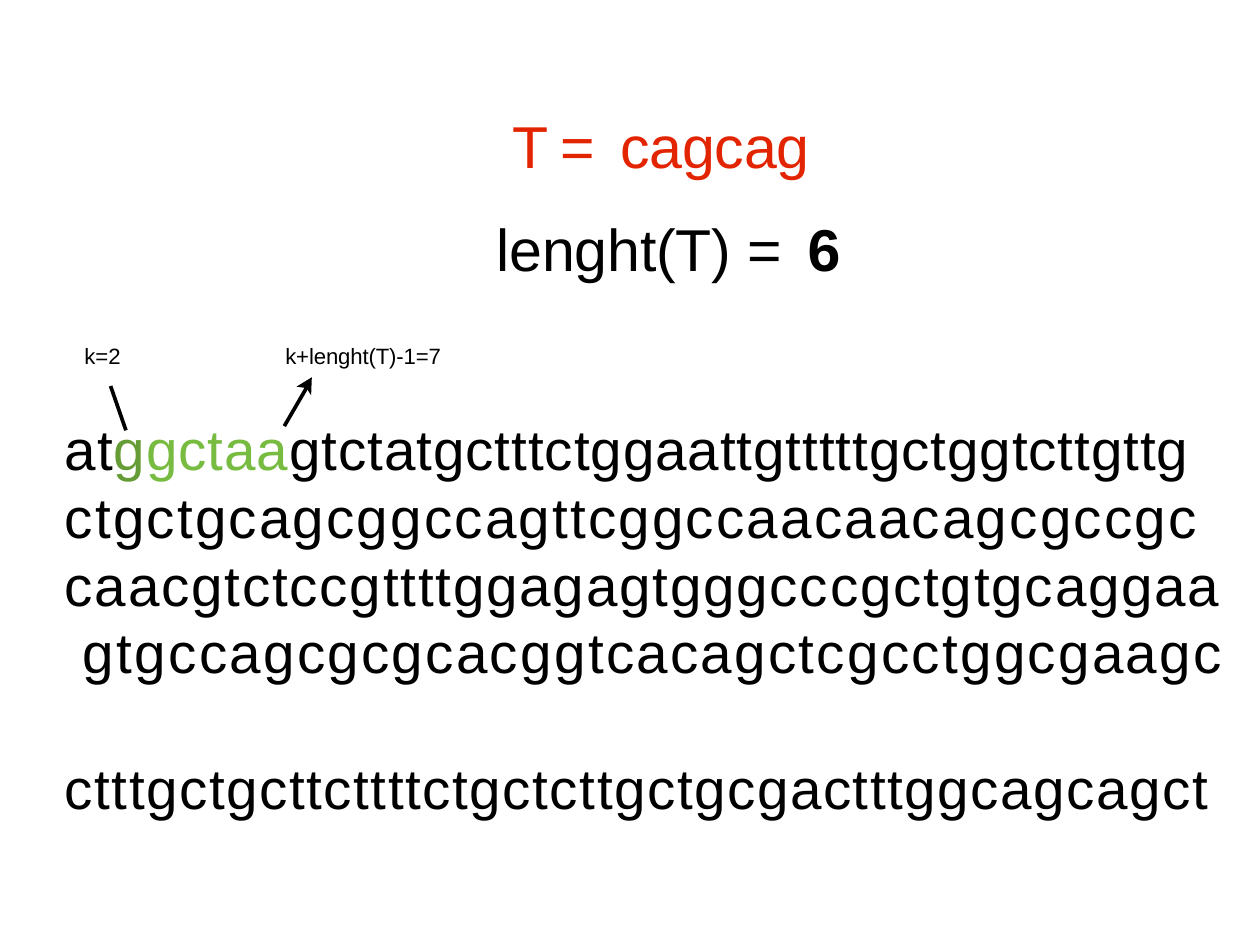
from dataclasses import dataclass

import pptx
import pptx.dml.color
import pptx.enum.text
import pptx.oxml
import pptx.oxml.ns
import pptx.util
from pptx.util import Cm

BLACK = "000000"
RED = "E32400"
DARK_GREEN = "669C35"
GREEN = "77BB41"
LINE_PITCH = 55


@dataclass
class Span:
    text: str
    spacing: float = 0
    color: str = BLACK
    bold: bool = False


@dataclass
class Line:
    spans: list[Span]
    indent: float = 0
    space_before: float = 0


@dataclass
class Label:
    left: float
    top: float
    width: float
    height: float
    size: float
    spans: list[Span]


@dataclass
class Stroke:
    start: tuple[float, float]
    end: tuple[float, float]
    arrow: bool = False


TITLE = Label(14.68, 3.15, 8.9, 2.11, 48, [
    Span("T ", -2.6, RED), Span("= ", 3.6, RED), Span("cagcag", -0.1, RED)])

LABELS = [
    Label(14.23, 6.1, 9.86, 2.11, 48, [
        Span("lenght(T) ", -0.1), Span("= ", 3.6), Span("6", bold=True)]),
    Label(2.42, 9.83, 1.12, 0.84, 18, [Span("k=2")]),
    Label(8.18, 9.83, 4.6, 0.84, 18, [Span("k+lenght(T)-1=7", -0.1)]),
]

SEQUENCE = [
    Line([Span("at", 0.8), Span("g", 0.8, DARK_GREEN), Span("gctaa", 0.8, GREEN),
          Span("gtctatgctttctggaattgtttttgctggtcttgttg", 0.8)]),
    Line([Span("ctgctgcagcggccagttcggccaacaacagcgccgc", 1.8)]),
    Line([Span("caacgtctccgttttggagagtgggcccgctgtgcaggaa", 1.5)]),
    Line([Span("gtgccagcgcgcacggtcacagctcgcctggcgaagc", 1.9)], indent=0.52),
    Line([Span("ctttgctgcttcttttctgctcttgctgcgactttggcagcagct", 1.3)],
         space_before=LINE_PITCH),
]

STROKES = [
    Stroke((3.17, 11.07), (3.61, 12.34)),
    Stroke((8.15, 12.22), (8.8, 11.1), arrow=True),
]

ARROWHEAD = [(8.94, 10.82), (8.5, 11.09), (8.79, 11.13), (8.92, 11.34)]


def rgb(color: str) -> pptx.dml.color.RGBColor:
    return pptx.dml.color.RGBColor.from_string(color)


def write_spans(para, spans: list[Span], size: float) -> None:
    para.alignment = pptx.enum.text.PP_ALIGN.LEFT
    for span in spans:
        run = para.add_run()
        run.text = span.text
        run.font.name = "Arial"
        run.font.size = pptx.util.Pt(size)
        run.font.bold = span.bold
        run.font.color.rgb = rgb(span.color)
        run.font._element.set("spc", str(round(span.spacing * 100)))


def prepare_frame(frame, wrap: bool) -> None:
    frame.margin_left = frame.margin_right = Cm(0)
    frame.margin_top = frame.margin_bottom = Cm(0)
    frame.word_wrap = wrap
    frame.auto_size = pptx.enum.text.MSO_AUTO_SIZE.NONE
    frame.vertical_anchor = pptx.enum.text.MSO_ANCHOR.TOP


def fill_label(box, label: Label) -> None:
    box.left, box.top = Cm(label.left), Cm(label.top)
    box.width, box.height = Cm(label.width), Cm(label.height)
    prepare_frame(box.text_frame, False)
    para = box.text_frame.paragraphs[0]
    para.line_spacing = 1.0
    para.space_before = pptx.util.Pt(0)
    write_spans(para, label.spans, label.size)


def add_sequence(page) -> None:
    box = page.shapes.add_textbox(Cm(1.86), Cm(11.89), Cm(33.6), Cm(9.7))
    frame = box.text_frame
    prepare_frame(frame, True)
    for index, line in enumerate(SEQUENCE):
        para = frame.add_paragraph() if index else frame.paragraphs[0]
        para.line_spacing = pptx.util.Pt(LINE_PITCH)
        para.space_before = pptx.util.Pt(line.space_before)
        if line.indent:
            para._p.get_or_add_pPr().set("marL", str(Cm(line.indent)))
        write_spans(para, line.spans, 46)


def add_stroke(page, stroke: Stroke) -> None:
    ends = [Cm(value) for value in stroke.start + stroke.end]
    connector = page.shapes.add_connector(
        pptx.enum.shapes.MSO_CONNECTOR.STRAIGHT, *ends)
    connector.line.color.rgb = rgb(BLACK)
    connector.line.width = pptx.util.Pt(3)
    connector._element.spPr.append(pptx.oxml.parse_xml(
        f"<a:effectLst {pptx.oxml.ns.nsdecls('a')}/>"))
    if stroke.arrow:
        add_arrowhead(page)


def add_arrowhead(page) -> None:
    points = [(Cm(x), Cm(y)) for x, y in ARROWHEAD]
    builder = page.shapes.build_freeform(*points[0])
    builder.add_line_segments(points[1:], close=True)
    head = builder.convert_to_shape()
    head.shadow.inherit = False
    head.fill.solid()
    head.fill.fore_color.rgb = rgb(BLACK)
    head.line.fill.background()


def main() -> None:
    deck = pptx.Presentation()
    deck.slide_width, deck.slide_height = Cm(36.12), Cm(27.1)
    page = deck.slides.add_slide(deck.slide_layouts[5])
    fill_label(page.shapes.title, TITLE)
    for label in LABELS:
        fill_label(page.shapes.add_textbox(0, 0, 0, 0), label)
    add_sequence(page)
    for stroke in STROKES:
        add_stroke(page, stroke)


    deck.save("out.pptx")


if __name__ == "__main__":
    main()
